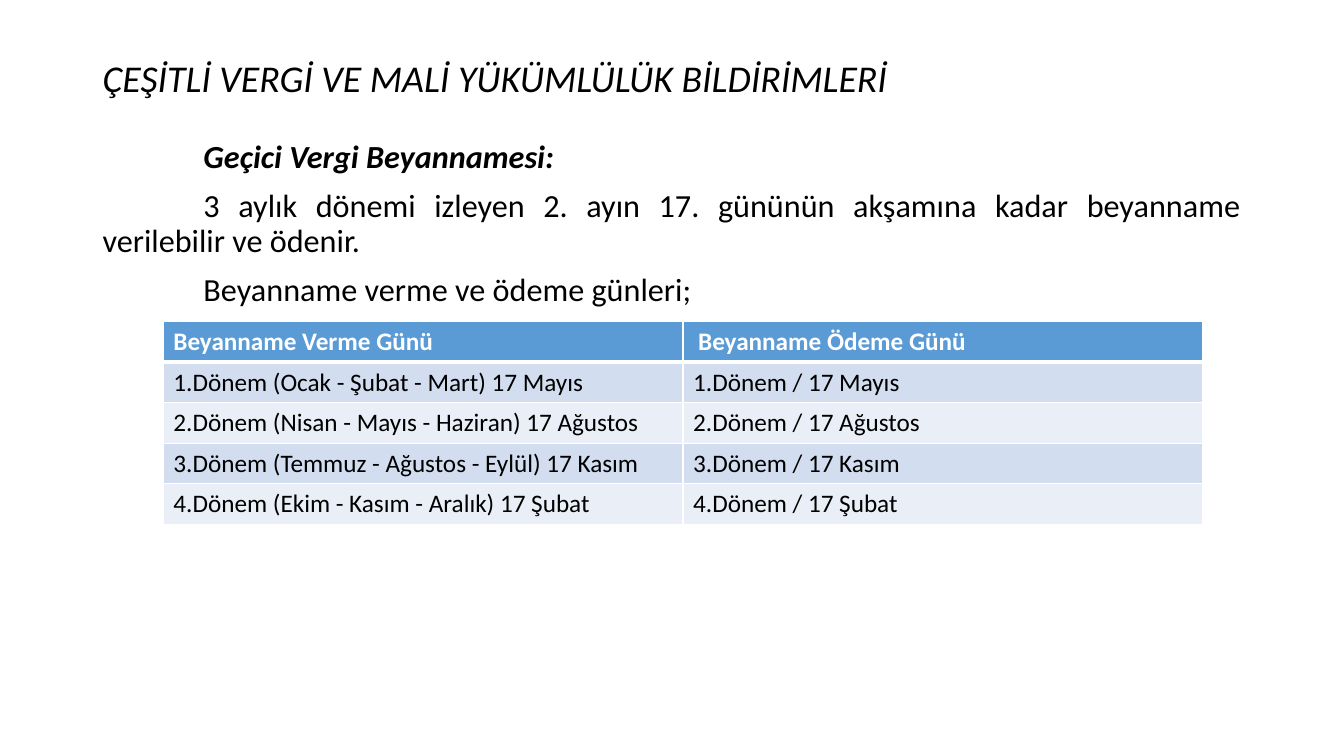
import dataclasses

import lxml.etree
import pptx
import pptx.dml.color
import pptx.enum.text
import pptx.oxml.ns
import pptx.util

Inches = pptx.util.Inches
Align = pptx.enum.text.PP_ALIGN
Anchor = pptx.enum.text.MSO_ANCHOR


@dataclasses.dataclass(frozen=True)
class Theme:
    font: str = "Calibri"
    ink: str = "000000"
    white: str = "FFFFFF"
    header: str = "5B9BD5"
    bands: tuple = ("D2DEEF", "EAEFF7")
    title_size: int = 27
    body_size: int = 23
    table_size: int = 18
    thin: int = 1
    thick: int = 3


THEME = Theme()

TITLE = "ÇEŞİTLİ VERGİ VE MALİ YÜKÜMLÜLÜK BİLDİRİMLERİ"
HEADING = "Geçici Vergi Beyannamesi:"
BODY = [
    "3 aylık dönemi izleyen 2. ayın 17. gününün akşamına kadar beyanname verilebilir ve ödenir.",
    "Beyanname verme ve ödeme günleri;",
]
DATES = [
    ("Beyanname Verme Günü", "Beyanname Ödeme Günü"),
    ("1.Dönem (Ocak - Şubat - Mart) 17 Mayıs", "1.Dönem / 17 Mayıs"),
    ("2.Dönem (Nisan - Mayıs - Haziran) 17 Ağustos", "2.Dönem / 17 Ağustos"),
    ("3.Dönem (Temmuz - Ağustos - Eylül) 17 Kasım", "3.Dönem / 17 Kasım"),
    ("4.Dönem (Ekim - Kasım - Aralık) 17 Şubat", "4.Dönem / 17 Şubat"),
]


def rgb(color):
    return pptx.dml.color.RGBColor.from_string(color)


def write(para, text, *, size, color=THEME.ink, bold=False, italic=False,
          align=Align.LEFT, spacing=1.0, before=0, indent=0):
    para.alignment = align
    para.line_spacing = spacing
    para.space_before = pptx.util.Pt(before)
    if indent:
        properties = para._p.get_or_add_pPr()
        properties.set("marL", "0")
        properties.set("indent", str(Inches(indent)))
    span = para.add_run()
    span.text = text
    span.font.name = THEME.font
    span.font.size = pptx.util.Pt(size)
    span.font.color.rgb = rgb(color)
    span.font.bold = bold
    span.font.italic = italic


def add_frame(page, box, anchor):
    frame = page.shapes.add_textbox(*map(Inches, box)).text_frame
    frame.word_wrap = True
    frame.vertical_anchor = anchor
    return frame


def add_title(page, box):
    frame = add_frame(page, box, Anchor.MIDDLE)
    write(frame.paragraphs[0], TITLE, size=THEME.title_size, italic=True, spacing=0.9)


def add_body(page, box):
    frame = add_frame(page, box, Anchor.TOP)
    layout = dict(size=THEME.body_size, align=Align.JUSTIFY, spacing=0.9, indent=1)
    write(frame.paragraphs[0], HEADING, bold=True, italic=True, **layout)
    for text in BODY:
        write(frame.add_paragraph(), text, before=10, **layout)


def add_borders(cell, top, bottom):
    widths = {"lnL": THEME.thin, "lnR": THEME.thin, "lnT": top, "lnB": bottom}
    properties = cell._tc.get_or_add_tcPr()
    for side, width in widths.items():
        line = lxml.etree.SubElement(
            properties, pptx.oxml.ns.qn(f"a:{side}"), w=str(pptx.util.Pt(width)))
        fill = lxml.etree.SubElement(line, pptx.oxml.ns.qn("a:solidFill"))
        lxml.etree.SubElement(fill, pptx.oxml.ns.qn("a:srgbClr"), val=THEME.white)


def add_dates_table(page, box):
    left, top, width, height = box
    row_count, column_count = len(DATES), len(DATES[0])
    table = page.shapes.add_table(row_count, column_count, *map(Inches, box)).table
    for column in table.columns:
        column.width = Inches(width / column_count)
    for row in table.rows:
        row.height = Inches(height / row_count)
    for row_index, texts in enumerate(DATES):
        is_header = row_index == 0
        fill = THEME.header if is_header else THEME.bands[(row_index - 1) % 2]
        for column_index, text in enumerate(texts):
            cell = table.cell(row_index, column_index)
            add_borders(cell,
                        top=THEME.thick if row_index == 1 else THEME.thin,
                        bottom=THEME.thick if is_header else THEME.thin)
            cell.fill.solid()
            cell.fill.fore_color.rgb = rgb(fill)
            if is_header and column_index == 1:
                cell.margin_left = Inches(0.15)
            write(cell.text_frame.paragraphs[0], text, size=THEME.table_size,
                  color=THEME.white if is_header else THEME.ink, bold=is_header)


def main():
    deck = pptx.Presentation()
    deck.slide_width = Inches(13.33)
    deck.slide_height = Inches(7.5)
    page = deck.slides.add_slide(deck.slide_layouts[6])
    add_title(page, (0.92, 0.4, 11.5, 0.8))
    add_body(page, (0.92, 1.35, 11.5, 5.4))
    add_dates_table(page, (1.62, 3.19, 10.31, 2.01))
    deck.save("out.pptx")


if __name__ == "__main__":
    main()
